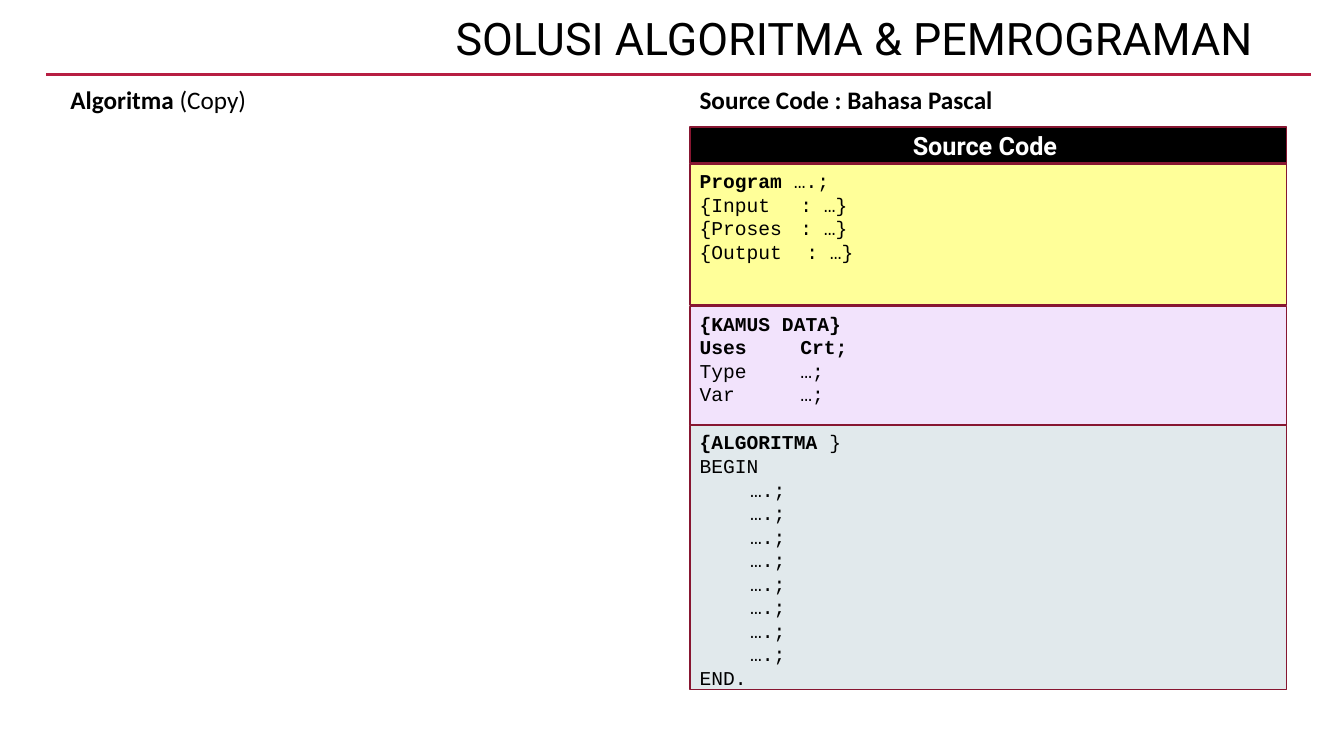
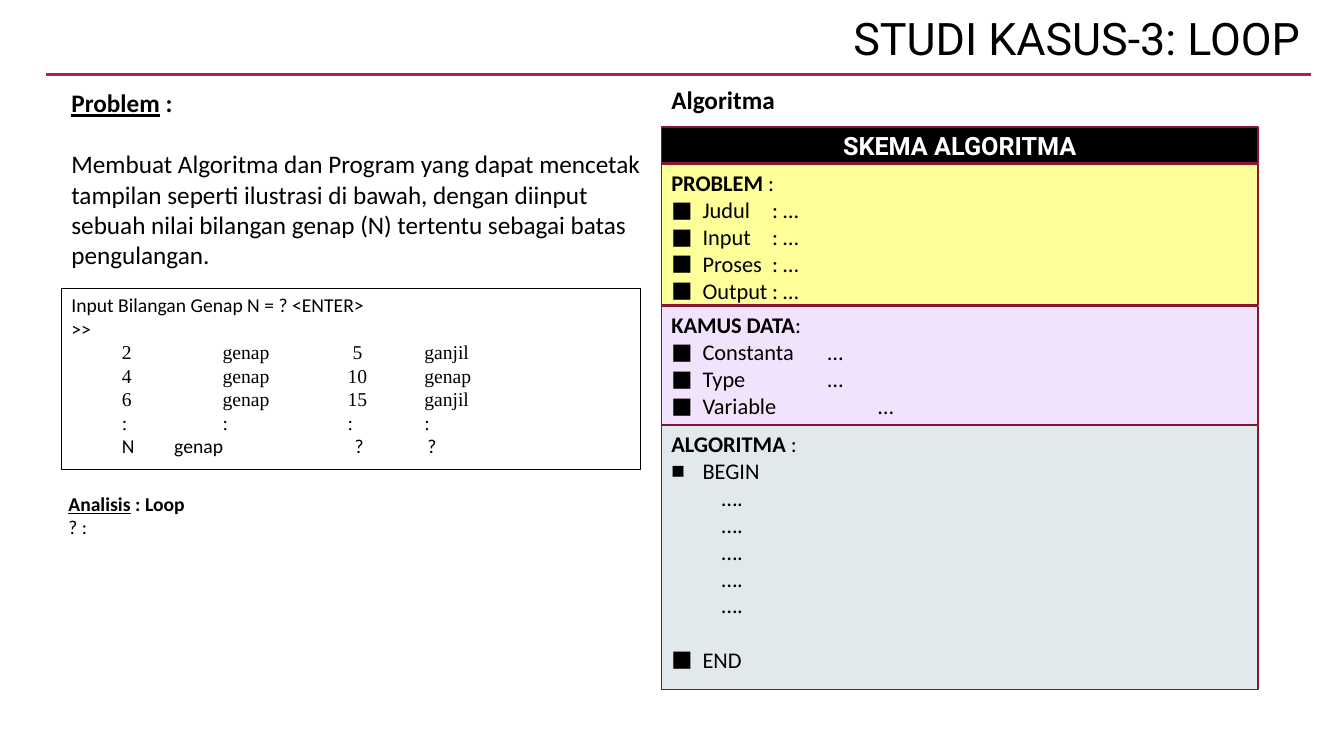
from dataclasses import dataclass

from lxml import etree
from pptx import Presentation
from pptx import util as u
from pptx.dml.color import RGBColor
from pptx.enum import shapes, text
from pptx.oxml.ns import qn


@dataclass(frozen=True)
class Theme:
    black: str = "000000"
    white: str = "FFFFFF"
    rule: str = "B71E42"
    border: str = "871631"
    yellow: str = "FFFF99"
    lilac: str = "F2E3FC"
    grey: str = "E1E9EC"
    heading_font: str = "Roboto"
    body_font: str = "Calibri"
    code_font: str = "Courier New"
    table_font: str = "Times New Roman"
    title_size: int = 32
    heading_size: int = 18
    scheme_size: int = 16
    small_size: int = 14


THEME = Theme()


@dataclass(frozen=True)
class Line:
    """One paragraph; each span is plain text or a (text, style) pair, style using b and u."""
    spans: tuple
    indent: float = 0
    tabs: tuple = ()
    bullet_font: str = ""
    before: float = 0
    font: str = ""


def bold(*spans, **layout):
    return Line(((spans[0], "b"),) + spans[1:], **layout)


def plain(content, **layout):
    return Line((content,), **layout)


def bullet(content, tab=None, font=THEME.body_font, before=0):
    """Hanging square bullet, with an optional tab stop measured from the box's text edge."""
    return plain(content, indent=0.31, tabs=(tab,) if tab else (), bullet_font=font, before=before)


def add_paragraph_marks(para, line):
    """Indent, bullet and tab stops, in schema order; an explicit zero indent would drop the tabs."""
    props = para._p.get_or_add_pPr()
    if line.indent:
        props.set("marL", str(u.Inches(line.indent)))
    if line.bullet_font:
        props.set("indent", str(u.Inches(-line.indent)))
        etree.SubElement(props, qn("a:buFont"), typeface=line.bullet_font)
        etree.SubElement(props, qn("a:buChar"), char="■")
    if line.tabs:
        stops = etree.SubElement(props, qn("a:tabLst"))
        for stop in line.tabs:
            etree.SubElement(stops, qn("a:tab"), pos=str(u.Inches(stop)), algn="l")


def write(box, lines, font=THEME.body_font, size=THEME.heading_size, color=THEME.black,
          align=text.PP_ALIGN.LEFT, anchor=text.MSO_ANCHOR.TOP, spacing=None):
    frame = box.text_frame
    frame.word_wrap = True
    frame.vertical_anchor = anchor
    for index, line in enumerate(lines):
        para = frame.add_paragraph() if index else frame.paragraphs[0]
        add_paragraph_marks(para, line)
        para.alignment = align
        if spacing:
            para.line_spacing = spacing
        if line.before:
            para.space_before = u.Pt(line.before)
        for item in line.spans:
            content, style = (item, "") if isinstance(item, str) else item
            span = para.add_run()
            span.text = content
            span.font.name = line.font or font
            span.font.size = u.Pt(size)
            span.font.color.rgb = RGBColor.from_string(color)
            span.font.bold = "b" in style
            span.font.underline = "u" in style


def add_label(page, area, lines, **style):
    box = page.shapes.add_textbox(*map(u.Inches, area))
    write(box, lines, **style)


def add_panel(page, area, lines, fill, line=THEME.border, width=1.25, **style):
    panel = page.shapes.add_shape(shapes.MSO_SHAPE.RECTANGLE, *map(u.Inches, area))
    panel.shadow.inherit = False
    panel.fill.solid()
    panel.fill.fore_color.rgb = RGBColor.from_string(fill)
    panel.line.color.rgb = RGBColor.from_string(line)
    panel.line.width = u.Pt(width)
    write(panel, lines, **style)


def add_page(deck, title, right):
    page = deck.slides.add_slide(deck.slide_layouts[6])
    rule = page.shapes.add_connector(shapes.MSO_CONNECTOR.STRAIGHT, u.Inches(0.46),
                                     u.Inches(0.74), u.Inches(13), u.Inches(0.74))
    rule.line.color.rgb = RGBColor.from_string(THEME.rule)
    rule.line.width = u.Pt(2.5)
    etree.SubElement(rule._element.spPr, qn("a:effectLst"))
    add_label(page, (right - 11.4, 0.12, 11.4, 0.69), [plain(title)], font=THEME.heading_font,
              size=THEME.title_size, align=text.PP_ALIGN.RIGHT, spacing=0.9)
    return page


def add_column_heading(page, left, width, line):
    add_label(page, (left, 0.8, width, 0.37), [line], anchor=text.MSO_ANCHOR.MIDDLE)


def add_scheme(page, left, heading, sections, **style):
    """Black header above the problem, data and algorithm panels."""
    width = 5.92
    bands = ((1.63, 1.4, THEME.yellow), (3.04, 1.18, THEME.lilac), (4.22, 2.62, THEME.grey))
    for (top, height, fill), lines in zip(bands, sections):
        add_panel(page, (left, top, width, height), lines, fill, **style)
    add_panel(page, (left, 1.26, width, 0.36), [bold(heading)], THEME.black,
              font=THEME.heading_font, color=THEME.white, align=text.PP_ALIGN.CENTER,
              anchor=text.MSO_ANCHOR.MIDDLE)


def build_solution(deck):
    page = add_page(deck, "SOLUSI ALGORITMA & PEMROGRAMAN", 12.53)
    add_column_heading(page, 0.6, 2.43, bold("Algoritma ", "(Copy)"))
    tabs = (1,)
    sections = (
        [bold("Program", " ….;"), plain("{Input\t: …}", tabs=tabs),
         plain("{Proses\t: …}", tabs=tabs), plain("{Output\t: …}", tabs=(1.06,))],
        [bold("{KAMUS DATA}"), bold("Uses\tCrt;", tabs=tabs),
         plain("Type\t…;", tabs=tabs), plain("Var\t…;", tabs=tabs)],
        [bold("{ALGORITMA ", "}"), plain("BEGIN"), *[plain("….;", indent=0.5)] * 8, plain("END.")],
    )
    add_scheme(page, 6.84, "Source Code ", sections, font=THEME.code_font, size=THEME.small_size)
    add_column_heading(page, 6.84, 5.39, bold("Source Code : Bahasa Pascal"))


def build_case(deck):
    page = add_page(deck, "STUDI KASUS-3: LOOP", 13)
    add_label(page, (0.61, 0.82, 5.9, 1.92), [
        Line((("Problem", "bu"), (" :", "b"))),
        plain("Membuat Algoritma dan Program yang dapat mencetak tampilan seperti ilustrasi "
              "di bawah, dengan diinput sebuah nilai bilangan genap (N) tertentu sebagai batas "
              "pengulangan.", before=22)])
    sections = (
        [bold("PROBLEM", " :"),
         *(bullet(f"{name}\t: …", 1) for name in ("Judul", "Input", "Proses", "Output"))],
        [bold("KAMUS DATA", ":"), bullet("Constanta\t…", 1.55), bullet("Type\t…", 1.55),
         bullet("Variable\t…", 2.05)],
        [bold("ALGORITMA", " :"), bullet("BEGIN", font="Arial"),
         *[plain("….", indent=0.5)] * 5, bullet("END", before=19.5)],
    )
    add_scheme(page, 6.56, "SKEMA ALGORITMA", sections, size=THEME.scheme_size)
    add_column_heading(page, 6.56, 1.41, bold("Algoritma"))
    add_label(page, (0.58, 4.83, 5.65, 1.51),
              [Line((("Analisis", "bu"), (" : Loop", "b"))), plain("? :")], size=THEME.small_size)

    rows = (("2", "genap", "5", "ganjil"), ("4", "genap", "10", "genap"),
            ("6", "genap", "15", "ganjil"), (":", ":", ":", ":"))
    output = [plain("Input Bilangan Genap N = ? <ENTER>"), plain(">>")]
    for row in rows:
        third = 2.79 if row[2] == "5" else 2.74
        output.append(plain("\t" + "\t".join(row), tabs=(0.5, 1.5, third, 3.5),
                            font=THEME.table_font))
    output.append(plain("\tN\tgenap\t?\t?", tabs=(0.5, 1.02, 2.81, 3.53)))
    add_panel(page, (0.61, 2.86, 5.74, 1.8), output, THEME.white, line=THEME.black, width=0.75,
              size=THEME.small_size)


def main():
    deck = Presentation()
    deck.slide_width, deck.slide_height = u.Inches(13.33), u.Inches(7.5)
    build_solution(deck)
    build_case(deck)
    deck.save("out.pptx")


if __name__ == "__main__":
    main()
